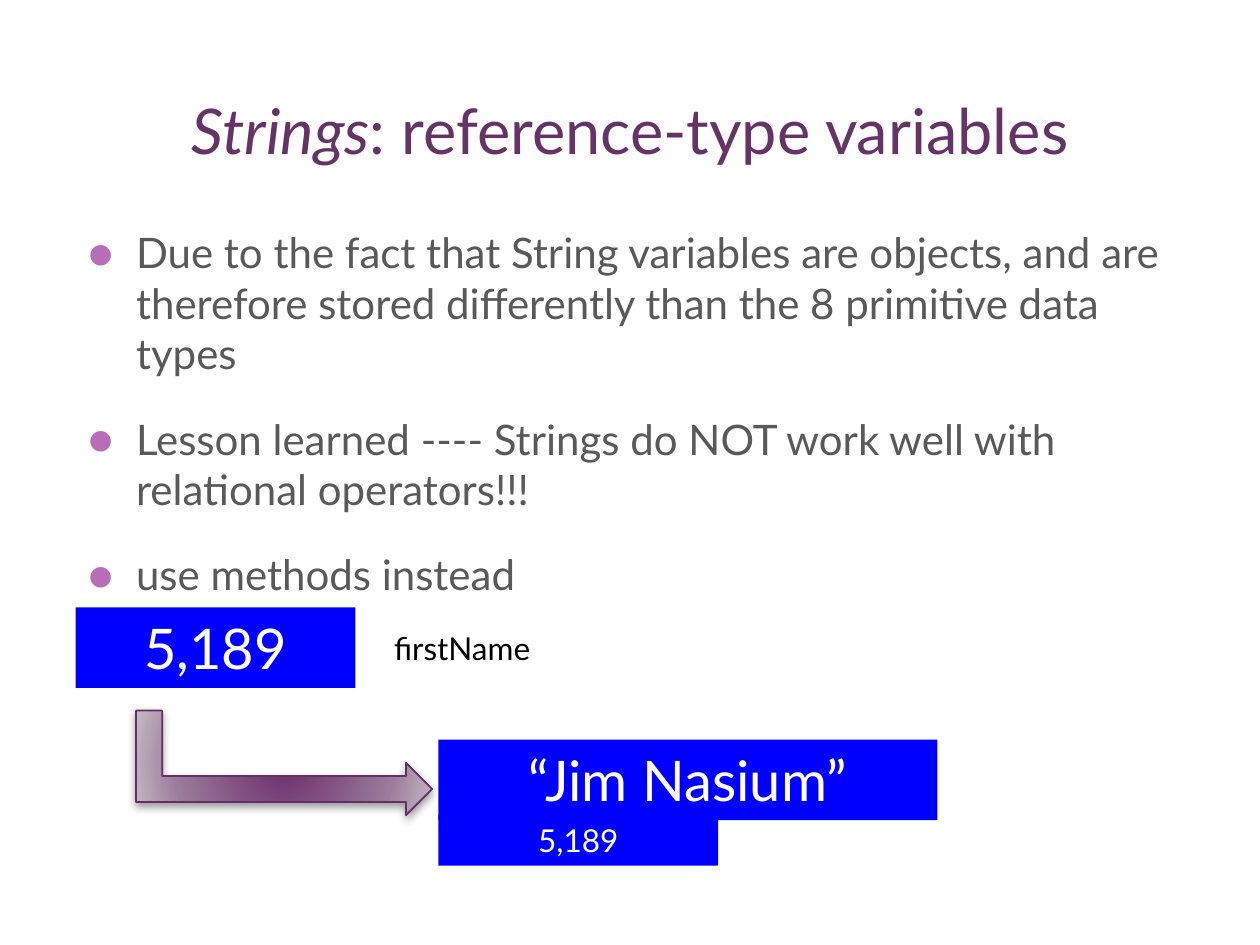
from lxml import etree
from pptx import Presentation
from pptx import util as u
from pptx.dml.color import RGBColor
from pptx.enum import shapes, text
from pptx.oxml import parse_xml
from pptx.oxml.ns import nsdecls, qn

COLS, ROWS = 100, 75
FONT = "Lato"
LEFT, WIDTH = 6, 88
BOX_W, BOX_H, LABEL_H = 22.2, 6.4, 4
STRING_X = 34.8
BLUE, WHITE, GREY, PURPLE = "0000FF", "FFFFFF", "595959", "663366"
BULLETS = [
    "Due to the fact that String variables are objects, and are "
    "therefore stored differently than the 8 primitive data types",
    "Lesson learned ---- Strings do NOT work well with relational operators!!!",
    "use methods instead",
]


def rgb(code):
    return RGBColor.from_string(code)


def grid(prs, col, row, cols, rows):
    dx, dy = prs.slide_width / COLS, prs.slide_height / ROWS
    return [round(v) for v in (col * dx, row * dy, cols * dx, rows * dy)]


def place(sp, box):
    sp.left, sp.top, sp.width, sp.height = box


def add_run(p, words, size, color, italic=False):
    r = p.add_run()
    r.text = words
    r.font.name, r.font.size, r.font.italic = FONT, u.Pt(size), italic
    r.font.color.rgb = rgb(color)


def setup_frame(sp, anchor):
    tf = sp.text_frame
    tf.word_wrap = True
    tf.auto_size = text.MSO_AUTO_SIZE.NONE
    tf.vertical_anchor = anchor
    return tf


def add_bullet(p):
    pPr = p._p.get_or_add_pPr()
    pPr.set("marL", str(u.Inches(0.38)))
    pPr.set("indent", str(u.Inches(-0.38)))
    color = etree.SubElement(pPr, qn("a:buClr"))
    etree.SubElement(color, qn("a:srgbClr"), val="B86EB8")
    etree.SubElement(pPr, qn("a:buFont"), typeface=FONT)
    etree.SubElement(pPr, qn("a:buChar"), char="●")


def fill_title(s, box):
    place(s.shapes.title, box)
    tf = setup_frame(s.shapes.title, text.MSO_ANCHOR.BOTTOM)
    p = tf.paragraphs[0]
    p.alignment = text.PP_ALIGN.CENTER
    add_run(p, "Strings", 36, PURPLE, italic=True)
    add_run(p, ": reference-type variables", 36, PURPLE)


def fill_body(s, box):
    sp = s.placeholders[1]
    place(sp, box)
    tf = setup_frame(sp, text.MSO_ANCHOR.TOP)
    for i, words in enumerate(BULLETS):
        p = tf.add_paragraph() if i else tf.paragraphs[0]
        p.space_before = u.Pt(20 if i else 0)
        add_bullet(p)
        add_run(p, words, 24, GREY)


def add_label(s, box, words):
    sp = s.shapes.add_textbox(*box)
    tf = setup_frame(sp, text.MSO_ANCHOR.TOP)
    add_run(tf.paragraphs[0], words, 18, "000000")


def add_memory_box(s, box, words, size):
    sp = s.shapes.add_shape(shapes.MSO_SHAPE.RECTANGLE, *box)
    sp.shadow.inherit = False
    sp.fill.solid()
    sp.fill.fore_color.rgb = rgb(BLUE)
    sp.line.fill.background()
    p = setup_frame(sp, text.MSO_ANCHOR.TOP).paragraphs[0]
    p.alignment = text.PP_ALIGN.CENTER
    add_run(p, words, size, WHITE)


def add_reference_arrow(s, box):
    sp = s.shapes.add_shape(shapes.MSO_SHAPE.BENT_UP_ARROW, *box)
    sp.rotation = 90
    sp.line.color.rgb = rgb("642F64")
    sp.line.width = u.Pt(1)
    stops = "".join(
        f'<a:gs pos="{pos * 1000}"><a:srgbClr val="{color}"/></a:gs>'
        for pos, color in ((0, "6B2D6B"), (69, "9A7B9A"), (100, "C7BBC7")))
    gradient = parse_xml(
        f'<a:gradFill {nsdecls("a")}><a:gsLst>{stops}</a:gsLst><a:path path="circle">'
        '<a:fillToRect l="50000" t="50000" r="50000" b="50000"/></a:path></a:gradFill>')
    shadow = parse_xml(
        f'<a:effectLst {nsdecls("a")}><a:outerShdw blurRad="{u.Pt(5)}" dist="{u.Pt(2)}" '
        'dir="5400000" rotWithShape="0"><a:srgbClr val="000000"><a:alpha val="40000"/>'
        '</a:srgbClr></a:outerShdw></a:effectLst>')
    spPr = sp._element.spPr
    spPr.find(qn("a:prstGeom")).addnext(gradient)
    spPr.find(qn("a:ln")).addnext(shadow)


def main():
    prs = Presentation()
    prs.slide_width, prs.slide_height = u.Inches(10), u.Inches(7.5)
    s = prs.slides.add_slide(prs.slide_layouts[1])
    fill_title(s, grid(prs, LEFT, 6.2, WIDTH, 7.6))
    fill_body(s, grid(prs, LEFT, 17.5, WIDTH, 28.5))
    add_label(s, grid(prs, 30.3, 49.4, 25.4, LABEL_H), "firstName")
    add_reference_arrow(s, grid(prs, 18.4, 48.8, 8.3, 23.5))
    add_memory_box(s, grid(prs, STRING_X, 58.7, 39.6, BOX_H), "“Jim Nasium”", 32)
    add_memory_box(s, grid(prs, STRING_X, 64.7, BOX_W, LABEL_H), "5,189", 18)
    add_memory_box(s, grid(prs, LEFT, 48.2, BOX_W, BOX_H), "5,189", 32)
    prs.save("out.pptx")


if __name__ == "__main__":
    main()
